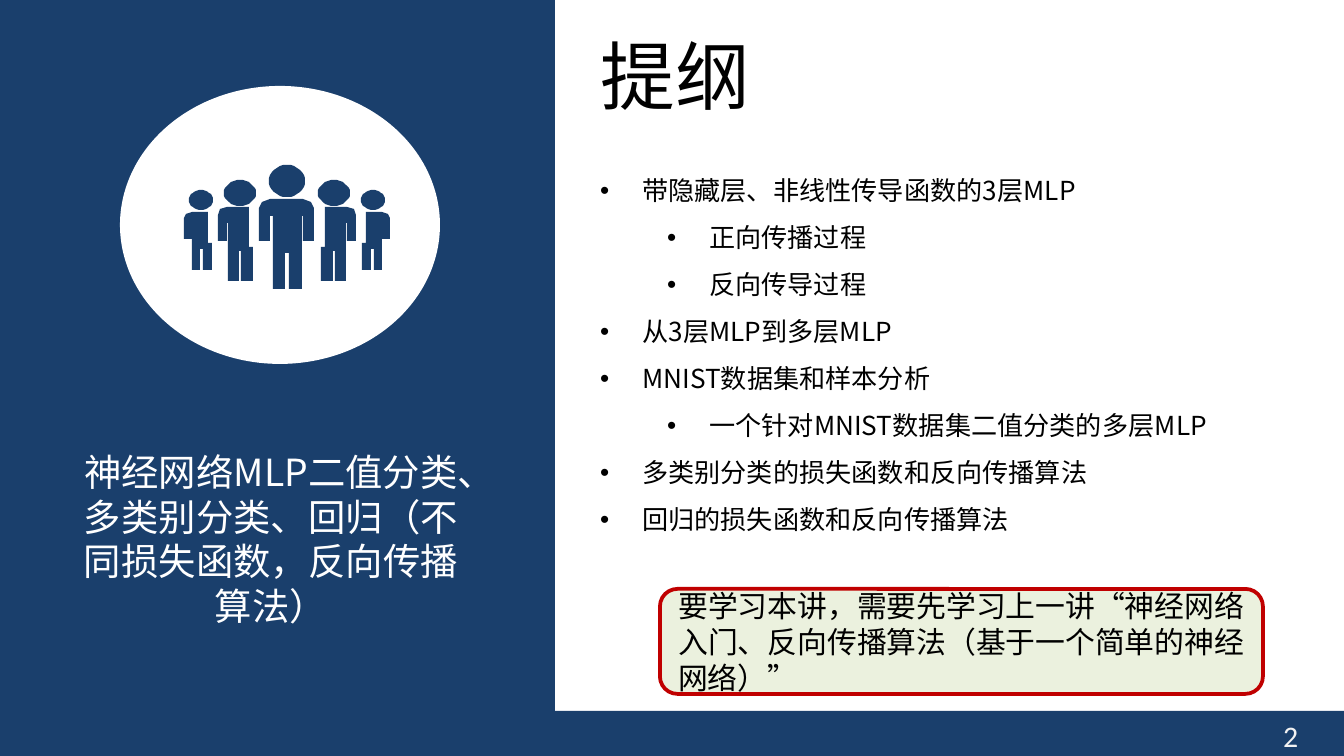
from math import cos, sin, pi
from pptx import Presentation
from pptx.dml.color import RGBColor
from pptx.enum.shapes import MSO_SHAPE
from pptx.enum.text import MSO_ANCHOR, MSO_AUTO_SIZE, PP_ALIGN
from pptx.oxml.ns import qn
from pptx.util import Pt
from lxml.etree import SubElement

SCALE = 914400 / 134.4
NAVY, WHITE, BLACK = "1A3F6C", "FFFFFF", "000000"
NOTO = "Noto Sans CJK SC"

TITLE = "提纲"
TOPIC = "神经网络MLP二值分类、多类别分类、回归（不同损失函数，反向传播算法）"
NOTE = "要学习本讲，需要先学习上一讲“神经网络入门、反向传播算法（基于一个简单的神经网络）”"
ITEMS = [
    (0, "带隐藏层、非线性传导函数的3层MLP"),
    (1, "正向传播过程"),
    (1, "反向传导过程"),
    (0, "从3层MLP到多层MLP"),
    (0, "MNIST数据集和样本分析"),
    (1, "一个针对MNIST数据集二值分类的多层MLP"),
    (0, "多类别分类的损失函数和反向传播算法"),
    (0, "回归的损失函数和反向传播算法"),
]

# People: head (centre x, y, radius x, y) and body outline
AXIS = 287
LEADER = ((287, 181, 18, 16), [
    (259, 208), (262, 202), (270, 199), (303, 199), (311, 202), (314, 208),
    (314, 241), (303, 241), (303, 216), (302, 216), (302, 289), (289, 289),
    (289, 253), (285, 253), (285, 289), (273, 289), (273, 216), (270, 216),
    (270, 241), (259, 241)])
SIDE = [
    ((240, 193, 16, 13), [
        (218, 215), (220, 209), (227, 207), (249, 207), (249, 247), (253, 247),
        (253, 281), (241, 281), (241, 251), (239, 251), (239, 281), (228, 281),
        (228, 223), (227, 223), (227, 241), (218, 241)]),
    ((201, 200, 12, 10), [
        (184, 218), (186, 214), (192, 212), (208, 212), (208, 243), (212, 243),
        (212, 270), (203, 270), (203, 249), (200, 249), (200, 270), (192, 270),
        (192, 239), (184, 239)]),
]


def px(n):
    return round(n * SCALE)


def rgb(color):
    return RGBColor.from_string(color)


def style(para, size, color, face=NOTO):
    font = para.font
    font.size = Pt(size)
    font.color.rgb = rgb(color)
    font.name = face
    SubElement(para._p.pPr.find(qn("a:defRPr")), qn("a:ea")).set("typeface", NOTO)


def paint(shape, fill):
    shape.shadow.inherit = False
    shape.fill.solid()
    shape.fill.fore_color.rgb = rgb(fill)
    shape.line.fill.background()
    return shape


def add_box(shapes, kind, fill, *at):
    return paint(shapes.add_shape(kind, *map(px, at)), fill)


def add_text(shapes, *at):
    frame = shapes.add_textbox(*map(px, at)).text_frame
    frame.word_wrap = True
    return frame


def add_bullet(para, level):
    para.level = level
    para.line_spacing = 1.5
    props = para._p.get_or_add_pPr()
    props.set("marL", str(px(42 + 67 * level)))
    props.set("indent", str(px(-42)))
    SubElement(props, qn("a:buFont")).set("typeface", "Arial")
    SubElement(props, qn("a:buChar")).set("char", "•")


def oval(x, y, rx, ry, steps=32):
    turns = [2 * pi * i / steps for i in range(steps)]
    return [(x + rx * cos(t), y + ry * sin(t)) for t in turns]


def flip(points):
    return [(2 * AXIS - x, y) for x, y in points]


def add_crowd(shapes):
    rings = [oval(*LEADER[0]), LEADER[1]]
    for head, body in SIDE:
        for ring in (oval(*head), body):
            rings += [ring, flip(ring)]
    pen = shapes.build_freeform(*rings[0][0], scale=SCALE)
    for i, ring in enumerate(rings):
        if i:
            pen.move_to(*ring[0])
        pen.add_line_segments(ring[1:], close=True)
    paint(pen.convert_to_shape(), NAVY)


def main():
    deck = Presentation()
    deck.slide_width, deck.slide_height = px(1344), px(756)
    slide = deck.slides.add_slide(deck.slide_layouts[5])
    shapes = slide.shapes

    add_box(shapes, MSO_SHAPE.RECTANGLE, NAVY, 0, 711, 1344, 45)
    add_box(shapes, MSO_SHAPE.RECTANGLE, NAVY, 0, 0, 555, 714)
    page = add_text(shapes, 1270, 711, 67, 40)
    page.text = "2"
    style(page.paragraphs[0], 16, "F2F2F2", "Calibri")

    title = shapes.title
    title.left, title.top, title.width, title.height = map(px, (587, 23, 556, 103))
    frame = title.text_frame
    frame.text = TITLE
    frame.vertical_anchor = MSO_ANCHOR.TOP
    frame.auto_size = MSO_AUTO_SIZE.SHAPE_TO_FIT_TEXT
    frame.paragraphs[0].alignment = PP_ALIGN.LEFT
    style(frame.paragraphs[0], 40, BLACK)

    topic = add_text(shapes, 73, 449, 396, 181)
    topic.margin_left = topic.margin_right = topic.margin_top = topic.margin_bottom = 0
    topic.text = TOPIC
    topic.paragraphs[0].alignment = PP_ALIGN.CENTER
    style(topic.paragraphs[0], 20, WHITE)

    badge = shapes.add_group_shape().shapes
    add_box(badge, MSO_SHAPE.OVAL, WHITE, 120, 86, 320, 278)
    add_crowd(badge)

    outline = add_text(shapes, 587, 152, 671, 388)
    outline.text = "\n".join(text for _, text in ITEMS)
    for para, (level, _) in zip(outline.paragraphs, ITEMS):
        add_bullet(para, level)
        style(para, 14, BLACK)

    note = add_box(shapes, MSO_SHAPE.ROUNDED_RECTANGLE, "EBF1DE", 660, 589, 603, 105)
    note.line.color.rgb = rgb("C00000")
    note.line.width = Pt(2)
    note.text_frame.text = NOTE
    note.text_frame.word_wrap = True
    note.text_frame.vertical_anchor = MSO_ANCHOR.MIDDLE
    note.text_frame.paragraphs[0].alignment = PP_ALIGN.JUSTIFY
    style(note.text_frame.paragraphs[0], 16, BLACK, "Calibri")

    deck.save("out.pptx")


if __name__ == "__main__":
    main()
